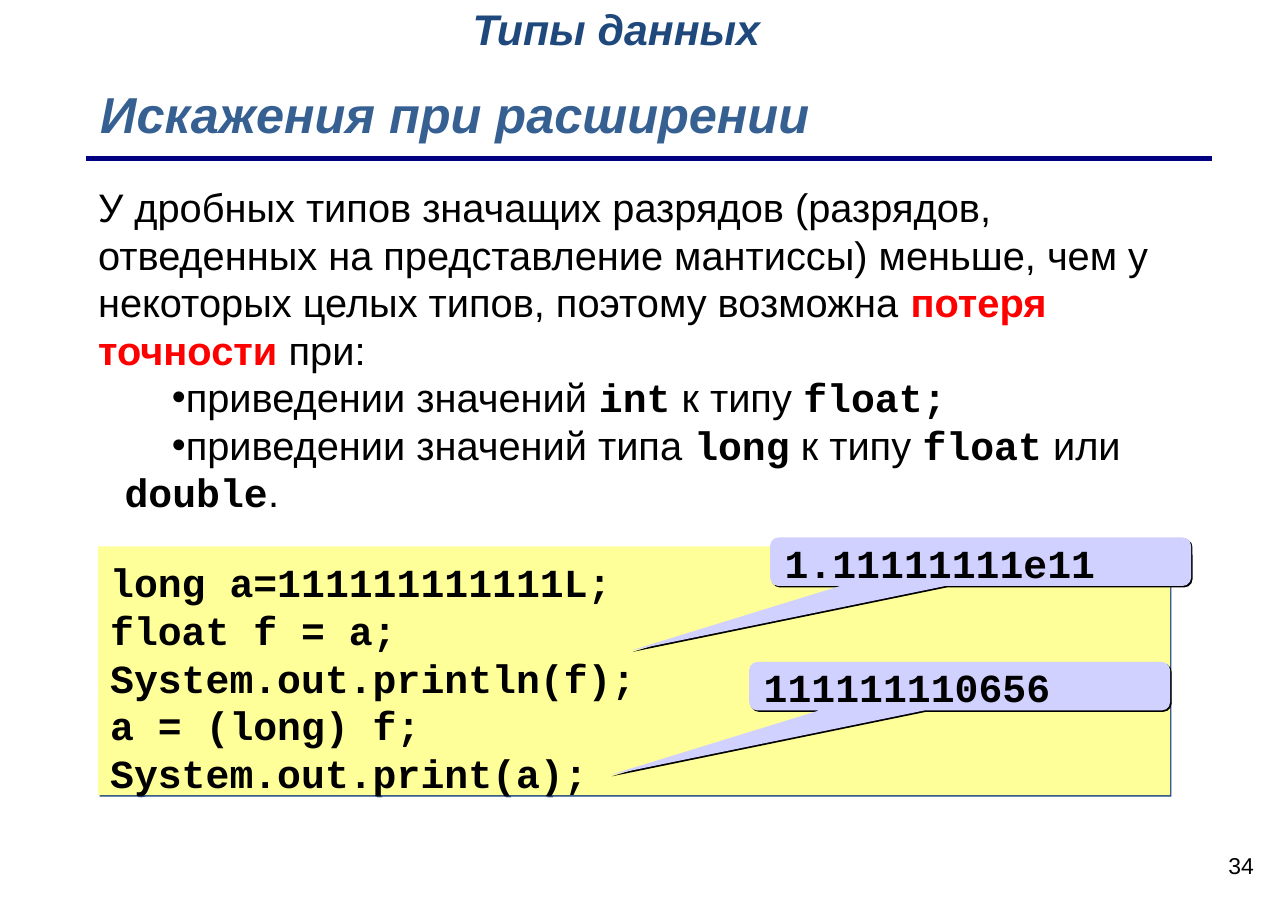
from lxml.etree import SubElement
from pptx import Presentation
from pptx.dml.color import RGBColor
from pptx.enum.shapes import MSO_CONNECTOR, MSO_SHAPE
from pptx.enum.text import MSO_ANCHOR, MSO_AUTO_SIZE, PP_ALIGN
from pptx.oxml.ns import qn
from pptx.util import Inches, Pt

BLACK = RGBColor(0, 0, 0)
RED = RGBColor(0xFF, 0, 0)
NAVY = RGBColor(0, 0, 0x80)
BLUE = RGBColor(0x37, 0x60, 0x92)
DARK = RGBColor(0x1F, 0x49, 0x7D)
CREAM = RGBColor(0xFF, 0xFF, 0x99)
LILAC = RGBColor(0xD1, 0xD1, 0xFF)
PITCH = Pt(31.1)


def put(par, text, size=26, color=BLACK, face="Arial", bold=False, slant=False):
    run = par.add_run()
    run.text = text
    font = run.font
    font.size = Pt(size)
    font.name = face
    font.bold = bold
    font.italic = slant
    font.color.rgb = color


def place(shape, left, top, width, height, side=0.1, edge=0.05, anchor=MSO_ANCHOR.TOP):
    shape.left, shape.top = Inches(left), Inches(top)
    shape.width, shape.height = Inches(width), Inches(height)
    frame = shape.text_frame
    frame.word_wrap = True
    frame.auto_size = MSO_AUTO_SIZE.NONE
    frame.vertical_anchor = anchor
    frame.margin_left = frame.margin_right = Inches(side)
    frame.margin_top = Inches(edge)
    frame.margin_bottom = Inches(0.05)
    return frame


deck = Presentation()
deck.slide_width, deck.slide_height = Inches(11.69), Inches(8.28)
slide = deck.slides.add_slide(deck.slide_layouts[1])
shapes = slide.shapes
title, body = slide.placeholders

page = place(shapes.add_textbox(0, 0, 0, 0), 8.9, 7.68, 2.58, 0.57)
page.paragraphs[0].alignment = PP_ALIGN.RIGHT
put(page.paragraphs[0], "34", size=15)

rule = shapes.add_connector(
    MSO_CONNECTOR.STRAIGHT, Inches(0.78), Inches(1.44), Inches(11), Inches(1.44)
)
rule.line.color.rgb = NAVY
rule.line.width = Pt(3)
SubElement(rule._element.spPr, qn("a:effectLst"))

head = place(title, 0.81, 0.7, 9.83, 0.65, anchor=MSO_ANCHOR.BOTTOM)
head.paragraphs[0].alignment = PP_ALIGN.LEFT
put(head.paragraphs[0], "Искажения при расширении", size=33, color=BLUE, bold=True, slant=True)

plain = {}
alert = {"color": RED, "bold": True}
mono = {"face": "Courier New", "bold": True}
items = [
    [
        ("У дробных типов значащих разрядов (разрядов, отведенных на представление "
         "мантиссы) меньше, чем у некоторых целых типов, поэтому возможна ", plain),
        ("потеря точности ", alert),
        ("при:", plain),
    ],
    [
        ("приведении значений ", plain),
        ("int", mono),
        (" к типу ", plain),
        ("float;", mono),
    ],
    [
        ("приведении значений типа ", plain),
        ("long", mono),
        (" к типу ", plain),
        ("float", mono),
        (" или ", plain),
        ("double", mono),
        (".", plain),
    ],
]
frame = place(body, 0.79, 1.59, 10.1, 3.13, edge=0.07)
for num, item in enumerate(items):
    par = frame.add_paragraph() if num else frame.paragraphs[0]
    par.line_spacing = PITCH
    par.space_before = Pt(0)
    props = par._p.get_or_add_pPr()
    props.set("marL", str(Inches(0.24 if num else 0)))
    props.set("indent", str(Inches(0.43 if num else 0)))
    if num:
        SubElement(props, qn("a:buChar"), char="•")
    else:
        SubElement(props, qn("a:buNone"))
    for text, style in item:
        put(par, text, **style)

code = [
    "long a=111111111111L;",
    "float f = a;",
    "System.out.println(f);",
    "a = (long) f;",
    "System.out.print(a);",
]
RECT, CALL = MSO_SHAPE.RECTANGLE, MSO_SHAPE.ROUNDED_RECTANGULAR_CALLOUT
panels = [
    (RECT, (0.89, 4.96, 9.73, 2.26), CREAM, DARK, code),
    (CALL, (6.8, 6.01, 3.82, 0.44), LILAC, BLACK, ["111111110656"]),
    (CALL, (6.99, 4.88, 3.82, 0.44), LILAC, BLACK, ["1.11111111e11"]),
]
for kind, area, fill, shade, lines in panels:
    panel = shapes.add_shape(kind, 0, 0, 0, 0)
    panel.fill.solid()
    panel.fill.fore_color.rgb = fill
    panel.line.fill.background()
    panel.shadow.inherit = False
    glow = SubElement(
        panel._element.spPr.find(qn("a:effectLst")), qn("a:outerShdw"),
        dist=str(Pt(1.4)), dir="2700000", algn="ctr", rotWithShape="0",
    )
    SubElement(glow, qn("a:srgbClr"), val=str(shade))
    if kind == CALL:
        for num, value in enumerate((-0.83, 1.83, 0.17)):
            panel.adjustments[num] = value
        frame = place(panel, *area, side=0.11, edge=0.06, anchor=MSO_ANCHOR.MIDDLE)
    else:
        frame = place(panel, *area, side=0.11, edge=0.11)
    for num, text in enumerate(lines):
        par = frame.add_paragraph() if num else frame.paragraphs[0]
        par.alignment = PP_ALIGN.LEFT
        par.line_spacing = PITCH
        put(par, text, **mono)

topic = place(shapes.add_textbox(0, 0, 0, 0), 3.99, -0.03, 3.02, 0.57, anchor=MSO_ANCHOR.BOTTOM)
topic.paragraphs[0]._p.get_or_add_pPr().set("marL", str(Inches(0.2)))
put(topic.paragraphs[0], "Типы данных", size=28, color=DARK, bold=True, slant=True)

deck.save("out.pptx")
